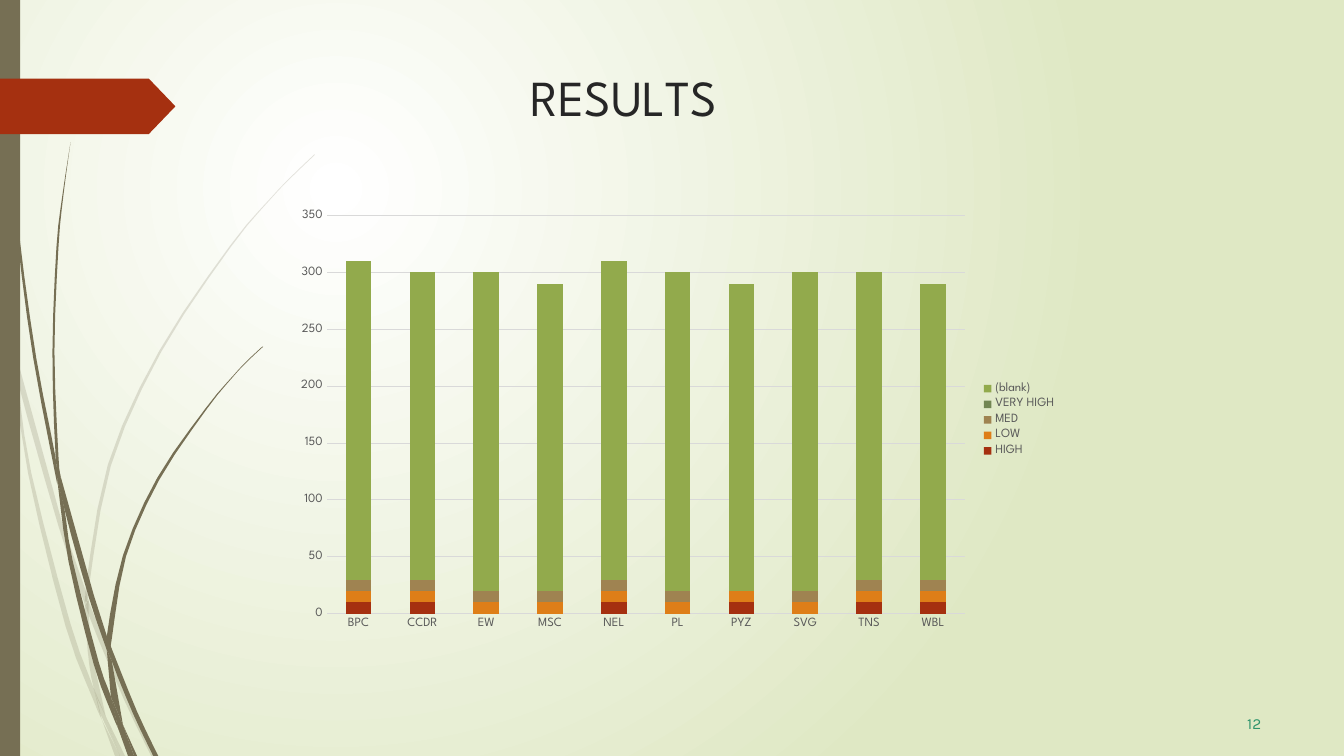
from lxml import etree
from pptx import Presentation
from pptx.chart.data import CategoryChartData
from pptx.dml.color import RGBColor
from pptx.enum.chart import XL_CHART_TYPE as CT, XL_LEGEND_POSITION as LP, XL_TICK_MARK as TM
from pptx.enum.shapes import MSO_SHAPE as SH
from pptx.enum.text import MSO_AUTO_SIZE as AS
from pptx.oxml import parse_xml
from pptx.oxml.ns import nsdecls, qn
from pptx.util import Inches, Pt

COLORS = {"white": "FFFFFF", "mist": "DFE8C4", "stem": "766F54", "arrow": "A53010",
          "title": "262626", "number": "2D936B", "label": "595959", "grid": "D9D9D9"}
HEAD, BODY = "League Spartan", "Karla"
TITLE = [("R", 0), ("E", -0.4), ("S", 0.1), ("U", -0.3), ("L", -4), ("TS", 0)]
NUMBER = [("12", 0.1)]
SITES = ["BPC", "CCDR", "EW", "MSC", "NEL", "PL", "PYZ", "SVG", "TNS", "WBL"]
SERIES = [
    ("HIGH", "A53010", (10, 10, 0, 0, 10, 0, 10, 0, 10, 10)),
    ("LOW", "DE7E18", (10, 10, 10, 10, 10, 10, 10, 10, 10, 10)),
    ("MED", "9F8351", (10, 10, 10, 10, 10, 10, 0, 10, 10, 10)),
    ("VERY HIGH", "728653", (0, 0, 0, 0, 0, 0, 0, 0, 0, 0)),
    ("(blank)", "92AA4C", (280, 270, 280, 270, 280, 280, 270, 280, 270, 260)),
]
CHART_BOX = (2.83, 2, 7.75, 4.33)
PLOT_BOX = (0.41, 0.14, 6.33, 3.95)
PALE_BLADES = [
    ([(0, 2.99), (0.1, 3.44), (0.11, 3.5)], [(0, 2.82), (0.09, 3.22), (0.11, 3.5)]),
    ([(0.14, 3.45), (0.17, 3.76), (0.58, 5.22), (0.84, 5.99)],
     [(0.14, 3.45), (0.62, 5.2), (0.85, 5.86)]),
    ([(0.88, 5.96), (0.88, 6.1), (1.23, 6.94), (1.5, 7.5)],
     [(0.88, 5.96), (0.92, 6.07), (1.27, 6.92), (1.55, 7.5)]),
    ([(1.05, 7.11), (1.19, 7.5)], [(1.05, 7.11), (1.24, 7.5)]),
    ([(0.11, 3.5), (0.28, 4.7), (0.65, 6.21), (0.92, 6.93), (1.01, 7.14)],
     [(0.11, 3.5), (0.17, 3.76), (0.31, 4.69), (0.7, 6.19), (0.93, 6.83), (1.01, 7.14)]),
    ([(0.84, 5.99), (0.87, 6.46), (0.93, 6.83), (1.05, 7.11)],
     [(0.84, 5.99), (0.88, 6.1), (0.91, 6.46), (1.05, 7.11)]),
    ([(3.12, 1.53), (2.89, 1.75), (2.68, 1.97), (2.28, 2.44), (1.58, 3.48), (1.07, 4.61),
      (0.85, 5.84), (0.88, 5.96)],
     [(3.12, 1.54), (2.9, 1.75), (2.68, 1.98), (2.29, 2.45), (1.6, 3.49), (1.1, 4.62),
      (0.88, 5.84), (0.88, 5.96)]),
    ([(1.01, 7.14), (1.14, 7.5)], [(1.01, 7.14), (1.19, 7.5)]),
    ([(0.85, 5.86), (0.84, 5.99), (0.88, 6.1)], [(0.85, 5.86), (0.88, 5.96), (0.88, 6.1)]),
    ([(0.93, 6.83), (0.99, 7.07), (1.19, 7.5)], [(0.93, 6.83), (1.05, 7.11), (1.19, 7.5)]),
]
DARK_BLADES = [
    ([(0.03, 0), (0.04, 0.48), (0.07, 1.1), (0.17, 2.33), (0.33, 3.55), (0.57, 4.81)],
     [(0.04, 0), (0.05, 0.48), (0.08, 1.09), (0.19, 2.32), (0.36, 3.55), (0.55, 4.53),
      (0.57, 4.81)]),
    ([(0.6, 4.72), (0.64, 5.05), (0.88, 5.92), (1.06, 6.45)],
     [(0.6, 4.72), (0.93, 5.9), (1.06, 6.31)]),
    ([(1.1, 6.41), (1.11, 6.56), (1.32, 7.08), (1.52, 7.5)],
     [(1.1, 6.41), (1.13, 6.49), (1.36, 7.06), (1.57, 7.5)]),
    ([(0.57, 4.77), (0.68, 5.57), (0.93, 6.59), (1.11, 7.08), (1.17, 7.22)],
     [(0.57, 4.77), (0.64, 5.05), (0.72, 5.56), (0.98, 6.57), (1.1, 6.91), (1.17, 7.22)]),
    ([(0.7, 1.41), (0.62, 1.93), (0.56, 2.45), (0.52, 3.49), (0.55, 4.49), (0.6, 4.72)],
     [(0.7, 1.41), (0.63, 1.93), (0.58, 2.45), (0.54, 3.49), (0.58, 4.53), (0.6, 4.72)]),
    ([(1.22, 7.19), (1.33, 7.5)], [(1.22, 7.19), (1.36, 7.5)]),
    ([(0.55, 4.49), (0.57, 4.77), (0.64, 5.05)], [(0.55, 4.49), (0.6, 4.72), (0.64, 5.05)]),
    ([(2.6, 3.44), (2.45, 3.58), (2.31, 3.73), (2.04, 4.05), (1.56, 4.74), (1.22, 5.51),
      (1.06, 6.31), (1.1, 6.41)],
     [(2.61, 3.44), (2.45, 3.59), (2.31, 3.74), (2.05, 4.06), (1.58, 4.76), (1.25, 5.52),
      (1.11, 6.33), (1.1, 6.41)]),
    ([(1.17, 7.22), (1.27, 7.5)], [(1.17, 7.22), (1.31, 7.5)]),
    ([(1.06, 6.45), (1.1, 6.91), (1.22, 7.19)], [(1.06, 6.45), (1.11, 6.56), (1.22, 7.19)]),
    ([(1.06, 6.31), (1.06, 6.45), (1.11, 6.56)], [(1.06, 6.31), (1.1, 6.41), (1.11, 6.56)]),
    ([(1.1, 6.91), (1.17, 7.22), (1.3, 7.5)], [(1.1, 6.91), (1.22, 7.19), (1.33, 7.5)]),
]


def rgb(key):
    return RGBColor.from_string(COLORS.get(key, key))


def smooth(pts, steps=3):
    """Return a Catmull-Rom curve through the points."""
    if len(pts) < 4:
        return pts
    ext = [pts[0], *pts, pts[-1]]
    curve = []
    for quad in zip(ext, ext[1:], ext[2:], ext[3:]):
        for t in (i / steps for i in range(steps)):
            curve.append(tuple(
                q + t * (r - p) / 2 + t * t * (2 * p - 5 * q + 4 * r - e) / 2
                + t ** 3 * (3 * q - p - 3 * r + e) / 2 for p, q, r, e in zip(*quad)))
    return curve + [pts[-1]]


def paint(sp, color, alpha=100):
    sp.shadow.inherit = False
    sp.fill.solid()
    sp.fill.fore_color.rgb = rgb(color)
    sp.line.fill.background()
    if alpha < 100:
        clr = sp._element.spPr.find(".//" + qn("a:srgbClr"))
        etree.SubElement(clr, qn("a:alpha")).set("val", str(alpha * 1000))


def add_blade(s, left, right, alpha):
    outline = [(Inches(x), Inches(y)) for x, y in smooth(left) + smooth(right)[::-1]]
    fb = s.shapes.build_freeform(*outline[0])
    fb.add_line_segments(outline[1:])
    paint(fb.convert_to_shape(), "stem", alpha)


def set_font(font, size, color, name=HEAD):
    font.size, font.name = Pt(size), name
    font.color.rgb = rgb(color)


def add_text(s, box, runs, size, font, color, before, indent):
    tf = s.shapes.add_textbox(*map(Inches, box)).text_frame
    tf.word_wrap, tf.auto_size = True, AS.SHAPE_TO_FIT_TEXT
    tf.margin_left = tf.margin_right = tf.margin_bottom = 0
    tf.margin_top = Inches(0.01)
    p = tf.paragraphs[0]
    p.space_before = Pt(before)
    p._p.get_or_add_pPr().set("marL", str(Inches(indent)))
    for text, spacing in runs:
        r = p.add_run()
        r.text = text
        set_font(r.font, size, color, font)
        r._r.get_or_add_rPr().set("spc", str(round(spacing * 100)))


def add_results(s):
    data = CategoryChartData()
    data.categories = SITES
    for name, _, vals in SERIES:
        data.add_series(name, vals)
    chart = s.shapes.add_chart(CT.COLUMN_STACKED, *map(Inches, CHART_BOX), data).chart
    chart.has_title = False
    set_font(chart.font, 9, "label")
    plot = chart.plots[0]
    plot.gap_width, plot.overlap, plot.vary_by_categories = 150, 100, False
    for ser, (_, color, _) in zip(plot.series, SERIES):
        ser.format.fill.solid()
        ser.format.fill.fore_color.rgb = rgb(color)
    for axis in (chart.category_axis, chart.value_axis):
        axis.major_tick_mark = axis.minor_tick_mark = TM.NONE
        axis.format.line.fill.background()
        set_font(axis.tick_labels.font, 9, "label")
    val = chart.value_axis
    val.minimum_scale, val.maximum_scale, val.major_unit = 0, 350, 50
    grid = val.major_gridlines.format.line
    grid.color.rgb, grid.width = rgb("grid"), Pt(0.75)
    chart.has_legend = True
    chart.legend.position, chart.legend.include_in_layout = LP.RIGHT, False
    set_font(chart.legend.font, 9, "label")
    area = chart._chartSpace.chart.plotArea
    for old in area.findall(qn("c:layout")):
        area.remove(old)
    parts = "".join(f'<c:{k}Mode val="edge"/>' for k in "xy")
    for k, part, whole in zip("xywh", PLOT_BOX, CHART_BOX[2:] * 2):
        parts += f'<c:{k} val="{part / whole:.4f}"/>'
    area.insert(0, parse_xml(
        f'<c:layout {nsdecls("c")}><c:manualLayout><c:layoutTarget val="inner"/>'
        f'{parts}</c:manualLayout></c:layout>'))


def set_background(s):
    fill = s.background.fill
    fill.gradient()
    for stop, color, pos in zip(fill.gradient_stops, ("white", "mist"), (0, 1)):
        stop.color.rgb, stop.position = rgb(color), pos
    lin = s._element.find(".//" + qn("a:lin"))
    lin.getparent().replace(lin, parse_xml(
        f'<a:path {nsdecls("a")} path="circle">'
        '<a:fillToRect l="25000" t="25000" r="75000" b="75000"/></a:path>'))


def main():
    prs = Presentation()
    prs.slide_width, prs.slide_height = Inches(13.33), Inches(7.5)
    s = prs.slides.add_slide(prs.slide_layouts[6])
    set_background(s)
    for blades, alpha in ((PALE_BLADES, 20), (DARK_BLADES, 100)):
        for left, right in blades:
            add_blade(s, left, right, alpha)
    paint(s.shapes.add_shape(SH.RECTANGLE, 0, 0, Inches(0.2), Inches(7.5)), "stem")
    arrow = s.shapes.add_shape(SH.PENTAGON, 0, Inches(0.78), Inches(1.74), Inches(0.55))
    arrow.adjustments[0] = 0.48
    paint(arrow, "arrow")
    add_text(s, (5.25, 0.65, 4.08, 0.62), TITLE, 36, HEAD, "title", 1.1, 0.01)
    add_text(s, (12.33, 7.07, 0.25, 0.19), NUMBER, 11, BODY, "number", 0.6, 0.04)
    add_results(s)
    prs.save("out.pptx")


if __name__ == "__main__":
    main()
